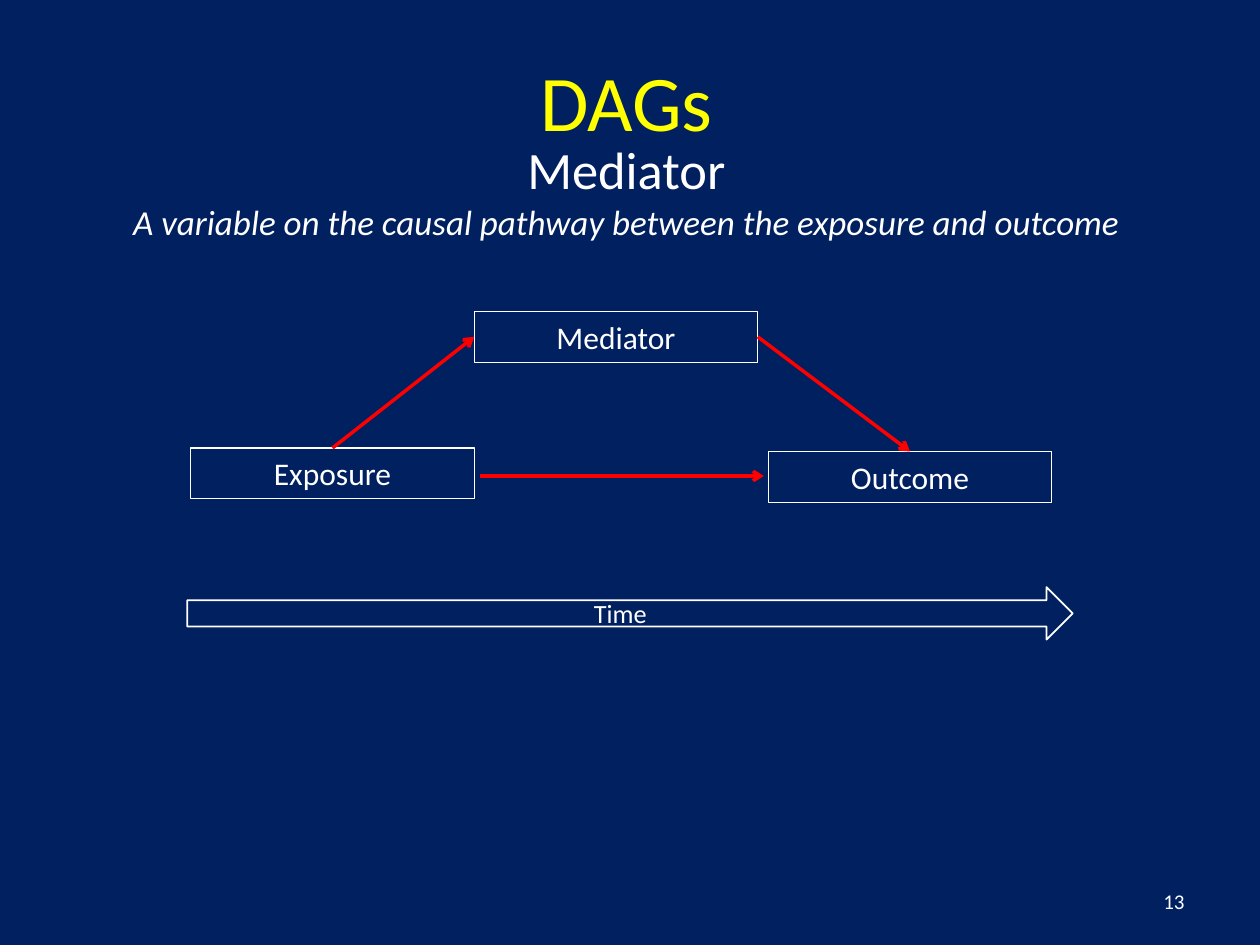
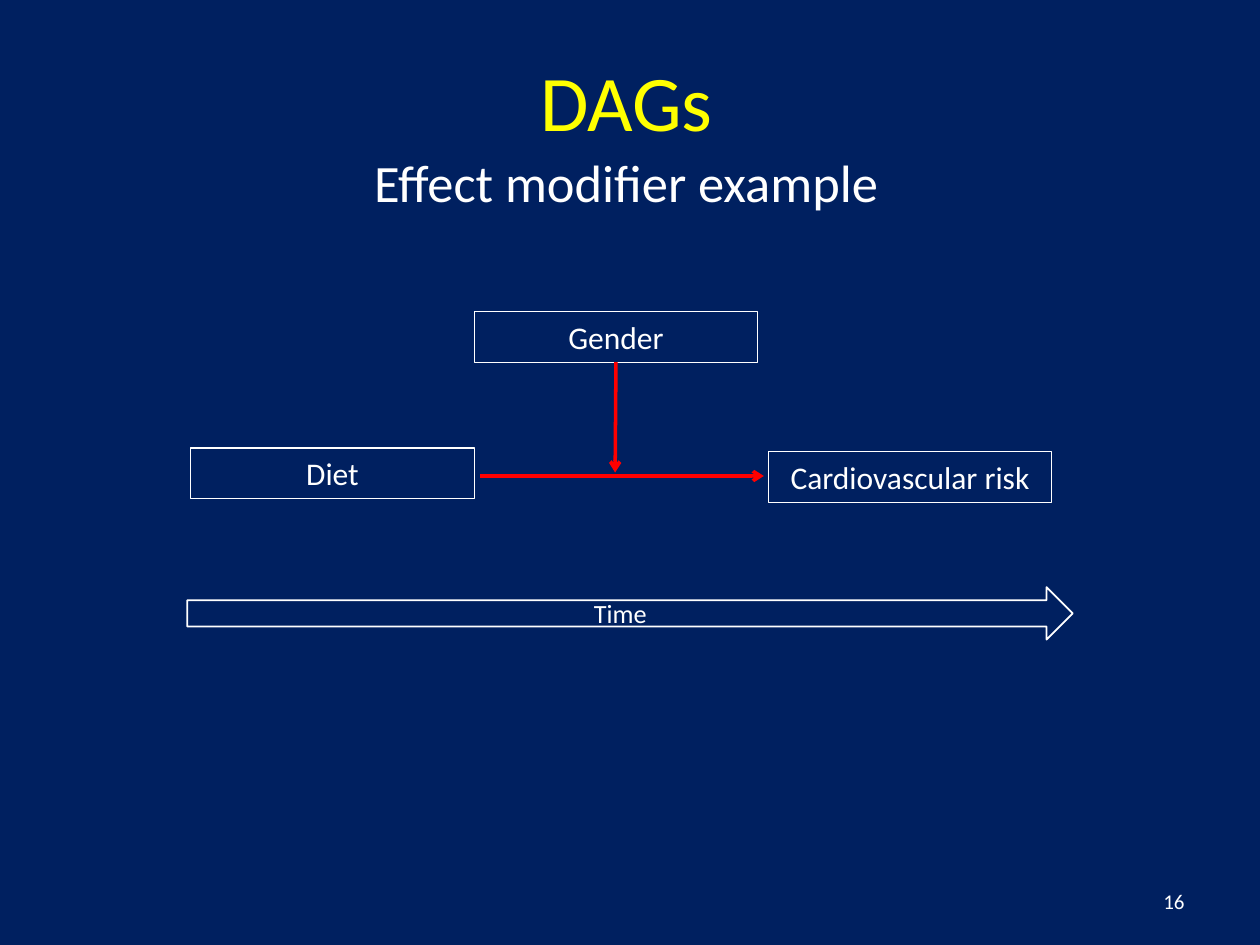
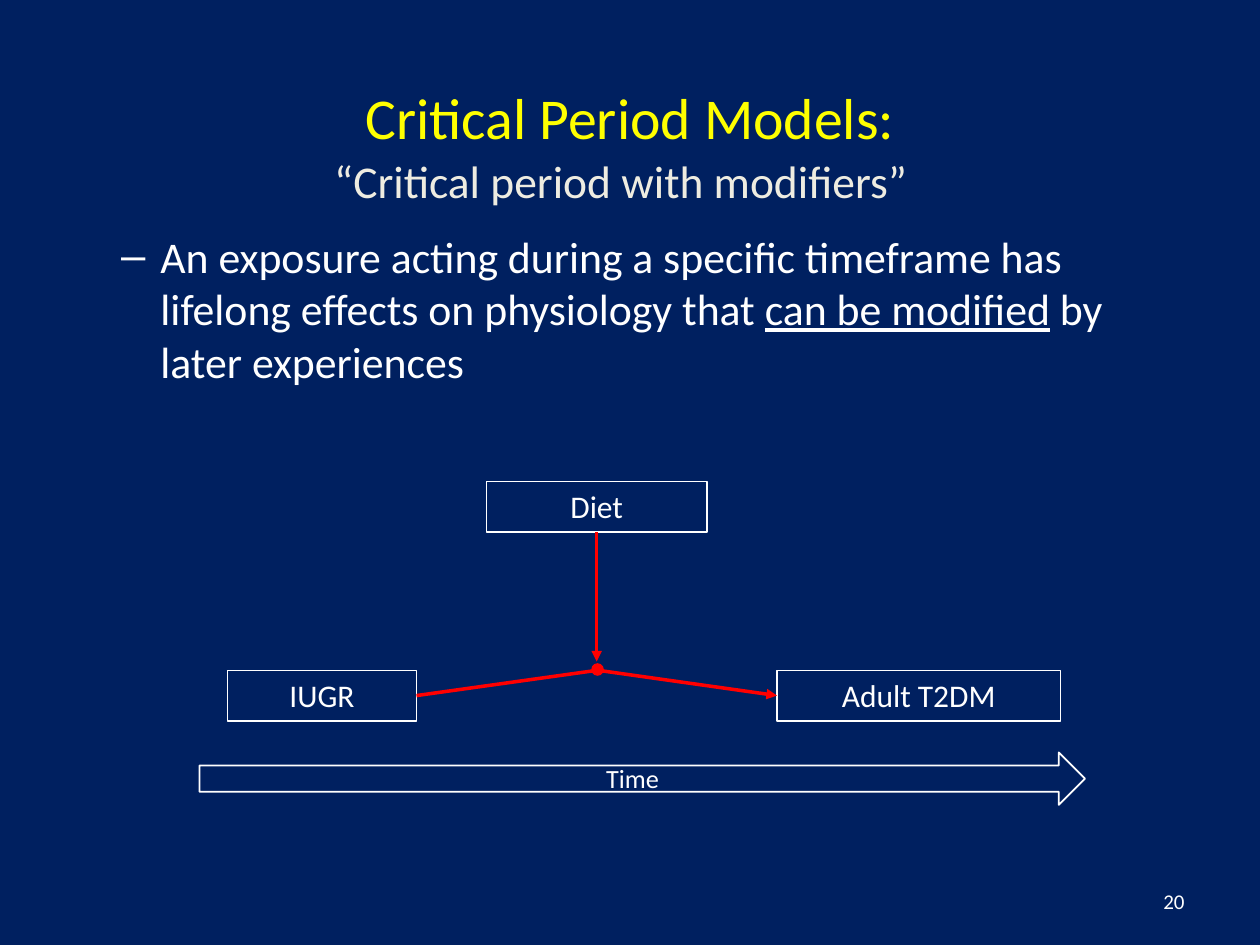
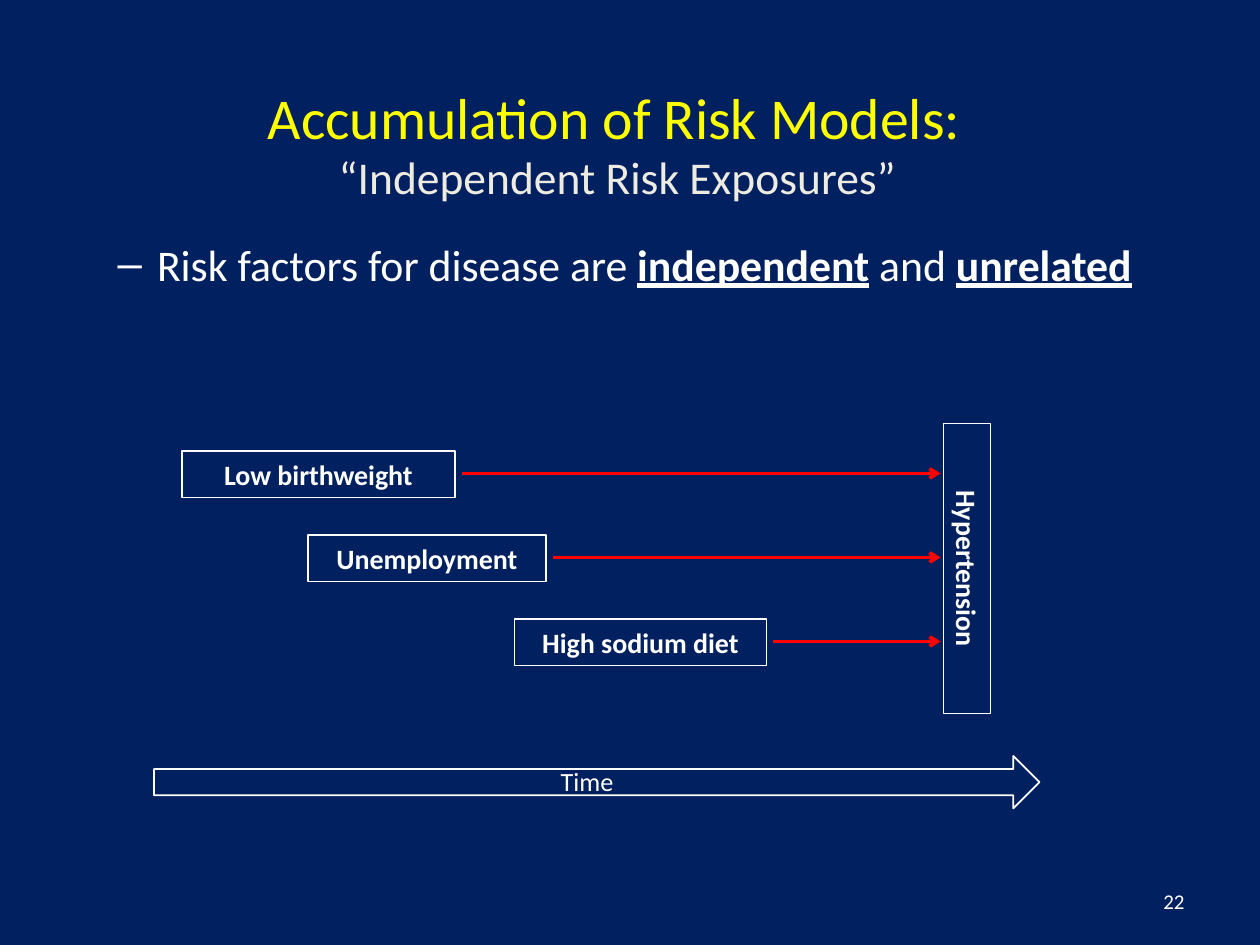
from lxml.etree import SubElement
from pptx import Presentation
from pptx.dml.color import RGBColor
from pptx.enum.shapes import MSO_CONNECTOR, MSO_SHAPE
from pptx.enum.text import MSO_ANCHOR, MSO_AUTO_SIZE, PP_ALIGN
from pptx.oxml.ns import qn
from pptx.util import Pt

FONT = "Calibri"
NAVY, WHITE, YELLOW, RED, CREAM = "002060", "FFFFFF", "FFFF00", "FF0000", "EEECE1"
TITLE_ONLY, TITLE_AND_BODY = 5, 1
TOP, LEFT, BOTTOM, RIGHT = range(4)
DAG_TITLE_BOX = (-56, 12, 828, 90)


def rgb(colour):
    return RGBColor.from_string(colour)


def points(*lengths):
    return [Pt(length) for length in lengths]


def add_run(paragraph, text, size, colour=WHITE, bold=False, italic=False, underline=False):
    run = paragraph.add_run()
    run.text = text
    font = run.font
    font.name, font.size = FONT, Pt(size)
    font.bold, font.italic, font.underline = bold, italic, underline
    font.color.rgb = rgb(colour)


def write(target, text, size, colour=WHITE, bold=False, align=PP_ALIGN.CENTER,
          anchor=MSO_ANCHOR.TOP):
    frame = target.text_frame
    frame.word_wrap = True
    frame.auto_size = MSO_AUTO_SIZE.NONE
    frame.vertical_anchor = anchor
    paragraph = frame.paragraphs[0]
    paragraph.alignment = align
    add_run(paragraph, text, size, colour, bold)
    return frame


def place(target, box):
    target.left, target.top, target.width, target.height = points(*box)


def add_label(shapes, box, text, size, **style):
    return write(shapes.add_textbox(*points(*box)), text, size, **style)


def add_outline(shapes, kind, box, width):
    outline = shapes.add_shape(kind, *points(*box))
    outline.shadow.inherit = False
    outline.fill.background()
    outline.line.color.rgb = rgb(WHITE)
    outline.line.width = Pt(width)
    return outline


def add_variable(slide, text, left, top, width, height=29, size=18, bold=False):
    variable = add_outline(slide.shapes, MSO_SHAPE.RECTANGLE, (left, top, width, height), 0.75)
    write(variable, text, size, bold=bold)
    return variable


def add_effect(slide, start, end, head="arrow"):
    def position(point):
        return points(*point) if isinstance(point[0], (int, float)) else points(0, 0)

    effect = slide.shapes.add_connector(MSO_CONNECTOR.STRAIGHT, *position(start), *position(end))
    if not isinstance(start[0], (int, float)):
        effect.begin_connect(*start)
    if not isinstance(end[0], (int, float)):
        effect.end_connect(*end)
    effect.line.color.rgb = rgb(RED)
    effect.line.width = Pt(2)
    if head:
        SubElement(effect.line._get_or_add_ln(), qn("a:tailEnd"), type=head)
    SubElement(effect._element.spPr, qn("a:effectLst"))


def add_time(slide, left, top):
    time = slide.shapes.add_group_shape().shapes
    add_outline(time, MSO_SHAPE.RIGHT_ARROW, (left, top, 506, 30), 1)
    add_label(time, (left + 191, top + 2, 113, 25), "Time", 15)


def start_slide(deck, layout, number, title, title_box, title_size):
    slide = deck.slides.add_slide(deck.slide_layouts[layout])
    place(slide.shapes.title, title_box)
    write(slide.shapes.title, title, title_size, YELLOW, anchor=MSO_ANCHOR.MIDDLE)
    add_label(slide.shapes, (516, 500.5, 168, 29), str(number), 12,
              align=PP_ALIGN.RIGHT, anchor=MSO_ANCHOR.MIDDLE)
    return slide


def add_point(slide, box, pieces):
    body = slide.placeholders[1]
    place(body, box)
    body.text_frame.auto_size = MSO_AUTO_SIZE.NONE
    paragraph = body.text_frame.paragraphs[0]
    paragraph.level = 1
    paragraph.space_before = Pt(0)
    properties = paragraph._p.get_or_add_pPr()
    properties.set("marL", str(Pt(58.5)))
    properties.set("indent", str(Pt(-22.5)))
    SubElement(properties, qn("a:buFont"), typeface="Arial")
    SubElement(properties, qn("a:buChar"), char="–")
    for text, style in pieces:
        add_run(paragraph, text, 25, **style)


def draw_dag(slide, left, top, exposure, outcome, third):
    cause = add_variable(slide, exposure, left, top + 78, 162)
    result = add_variable(slide, outcome, left + 330, top + 80, 162)
    add_effect(slide, (left + 165.5, top + 94), (left + 327.5, top + 94))
    add_time(slide, left - 2, top + 157.5)
    return cause, result, add_variable(slide, third, left + 162, top, 162)


def draw_modified_period(slide, left, top):
    cause = add_variable(slide, "IUGR", left, top + 108, 108)
    result = add_variable(slide, "Adult T2DM", left + 314, top + 108, 162)
    modifier = add_variable(slide, "Diet", left + 148, top, 126)
    meeting = (left + 211.5, top + 108)
    add_effect(slide, (cause, RIGHT), meeting, head=None)
    add_effect(slide, (modifier, BOTTOM), (left + 211, top + 103), head="triangle")
    add_effect(slide, meeting, (result, LEFT), head="triangle")
    node = slide.shapes.add_shape(MSO_SHAPE.OVAL,
                                  *points(meeting[0] - 3.6, meeting[1] - 4, 7.2, 7.2))
    node.shadow.inherit = False
    node.fill.solid()
    node.fill.fore_color.rgb = rgb(RED)
    node.line.fill.background()
    add_time(slide, left - 16, top + 155)


def draw_independent_risks(slide, left, top):
    height = 26.7
    risks = [("Low birthweight", 0, 156), ("Unemployment", 72, 136), ("High sodium diet", 190, 144)]
    for row, (risk, offset, width) in enumerate(risks):
        risk_top = top + 15.7 + 48 * row
        add_variable(slide, risk, left + offset, risk_top, width, height, 16, True)
        middle = risk_top + height / 2 - 0.5
        add_effect(slide, (left + offset + width + 4, middle), (left + 433.5, middle))
    outcome = add_variable(slide, "Hypertension", left + 365.7, top + 69.5, 165.6, height, 16, True)
    outcome.rotation = 90
    add_time(slide, left - 16, top + 190)


def mediator_slide(deck):
    slide = start_slide(deck, TITLE_ONLY, 13, "DAGs", DAG_TITLE_BOX, 45)
    exposure, outcome, mediator = draw_dag(slide, 109, 178, "Exposure", "Outcome", "Mediator")
    add_effect(slide, (mediator, RIGHT), (outcome, TOP))
    add_effect(slide, (exposure, TOP), (mediator, LEFT))
    subtitle = add_label(slide.shapes, (-56, 63.5, 828, 90), "Mediator", 30,
                         anchor=MSO_ANCHOR.MIDDLE)
    definition = subtitle.add_paragraph()
    definition.alignment = PP_ALIGN.CENTER
    add_run(definition, "A variable on the causal pathway between the exposure and outcome",
            20, italic=True)


def modifier_slide(deck):
    slide = start_slide(deck, TITLE_ONLY, 16, "DAGs", DAG_TITLE_BOX, 45)
    gender = draw_dag(slide, 109, 178, "Diet", "Cardiovascular risk", "Gender")[2]
    add_effect(slide, (gender, BOTTOM), (351.5, 270))
    add_label(slide.shapes, (-56, 58.5, 828, 90), "Effect modifier example", 30,
              anchor=MSO_ANCHOR.MIDDLE)


def critical_period_slide(deck):
    slide = start_slide(deck, TITLE_AND_BODY, 20, "Critical Period Models:",
                        (36, 21.5, 648, 90), 33)
    add_label(slide.shapes, (36, 84, 638, 39), "“Critical period with modifiers”", 26, colour=CREAM)
    add_point(slide, (26, 127.5, 648, 180), [
        ("An exposure acting during a specific timeframe has lifelong effects on physiology that ", {}),
        ("can be modified", {"underline": True}),
        (" by later experiences", {}),
    ])
    draw_modified_period(slide, 130, 275)


def accumulation_slide(deck):
    slide = start_slide(deck, TITLE_AND_BODY, 22, "Accumulation of Risk Models:",
                        (27, 21.5, 648, 90), 33)
    add_label(slide.shapes, (116, 81.5, 474, 39), "“Independent Risk Exposures”", 26, colour=CREAM)
    stressed = {"bold": True, "underline": True}
    add_point(slide, (24, 132, 672, 356), [
        ("Risk factors for disease are ", {}),
        ("independent", stressed),
        (" and ", {}),
        ("unrelated", stressed),
    ])
    draw_independent_risks(slide, 104, 242)


def main():
    deck = Presentation()
    deck.slide_width, deck.slide_height = points(720, 540)
    background = deck.slide_master.background.fill
    background.solid()
    background.fore_color.rgb = rgb(NAVY)
    mediator_slide(deck)
    modifier_slide(deck)
    critical_period_slide(deck)
    accumulation_slide(deck)
    deck.save("out.pptx")


if __name__ == "__main__":
    main()
